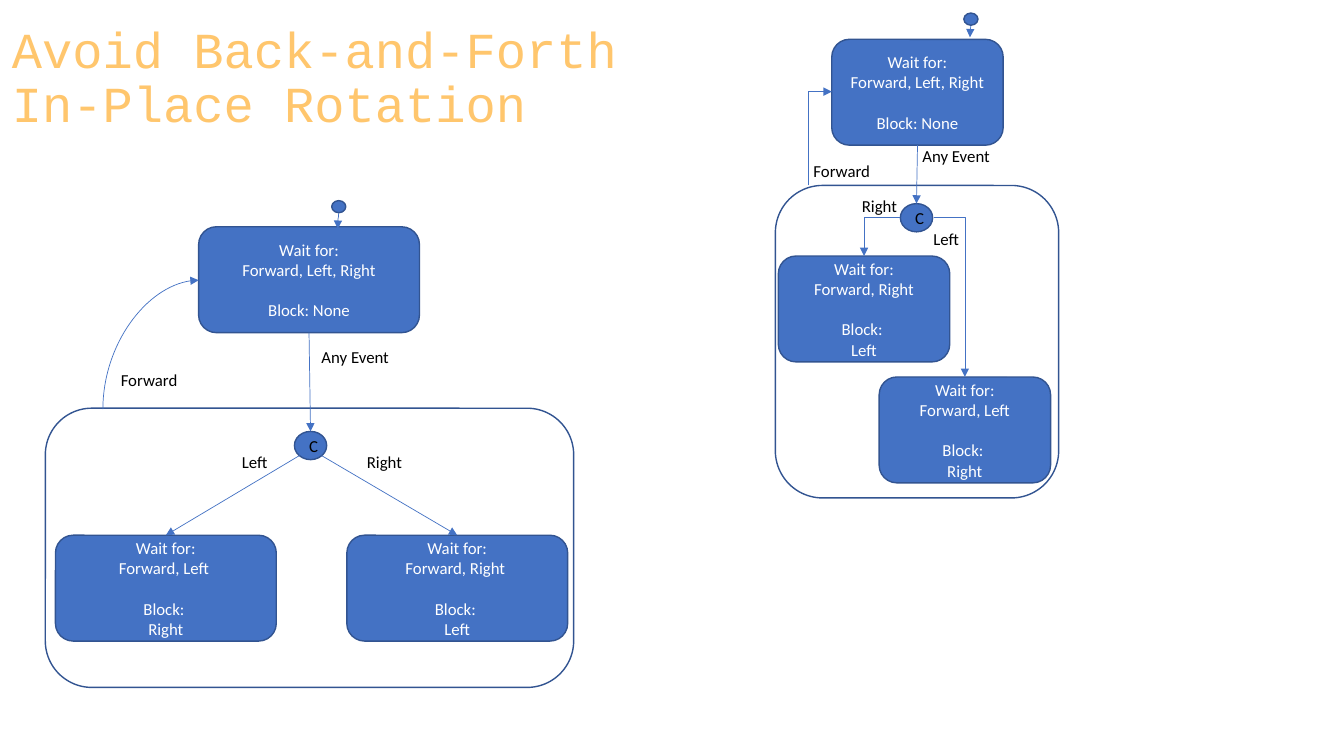
from lxml.etree import SubElement
from pptx import Presentation
from pptx.dml.color import RGBColor
from pptx.enum.shapes import MSO_CONNECTOR as Link, MSO_SHAPE as Shape
from pptx.enum.text import MSO_ANCHOR as Anchor, PP_ALIGN as Align
from pptx.oxml.ns import qn
from pptx.util import Inches, Pt


def colour(hex_code):
    return RGBColor.from_string(hex_code)


def write(shape, *lines, size=12, font="Calibri", fill="000000", align=Align.LEFT,
          anchor=Anchor.TOP, spacing=None, gap_before=None):
    """Fill a shape with one paragraph per line; gap_before is the line set apart."""
    frame = shape.text_frame
    frame.word_wrap = True
    frame.vertical_anchor = anchor
    for index, line in enumerate(lines):
        paragraph = frame.add_paragraph() if index else frame.paragraphs[0]
        paragraph.alignment = align
        if spacing:
            paragraph.line_spacing = spacing
        if index == gap_before:
            paragraph.space_before = Pt(14.6)
        run = paragraph.add_run()
        run.text = line
        run.font.size = Pt(size)
        run.font.name = font
        run.font.color.rgb = colour(fill)


class StateChart:
    """Draws on a grid whose columns and rows are a tenth of an inch."""
    CELL = Inches(0.1)
    BLUE, EDGE, AMBER, WHITE = "4472C4", "325491", "FFC66D", "FFFFFF"
    STATE_ROWS = 10.5
    CHOICE = (3.2, 2.8)
    DOT = (1.4, 1.2)

    def __init__(self, slide):
        self.shapes = slide.shapes

    def grid(self, *cells):
        return [round(cell * self.CELL) for cell in cells]

    def block(self, preset, col, row, cols, rows, fill=None):
        shape = self.shapes.add_shape(preset, *self.grid(col, row, cols, rows))
        shape.shadow.inherit = False
        if fill:
            shape.fill.solid()
            shape.fill.fore_color.rgb = colour(fill)
        else:
            shape.fill.background()
        shape.line.color.rgb = colour(self.EDGE)
        shape.line.width = Pt(1)
        return shape

    def region(self, col, row, cols, rows):
        return self.block(Shape.ROUNDED_RECTANGLE, col, row, cols, rows)

    def state(self, col, row, cols, events, *blocked):
        state = self.block(Shape.ROUNDED_RECTANGLE, col, row, cols, self.STATE_ROWS, self.BLUE)
        write(state, "Wait for:", events, *blocked, fill=self.WHITE,
              align=Align.CENTER, anchor=Anchor.MIDDLE, gap_before=2)
        return state

    def choice(self, col, row):
        choice = self.block(Shape.OVAL, col, row, *self.CHOICE, self.BLUE)
        write(choice, "C", align=Align.CENTER, anchor=Anchor.MIDDLE)
        return choice

    def start(self, col, row, drop):
        centre = col + self.DOT[0] / 2
        self.arrow((centre, row + self.DOT[1] / 2), (centre - 0.1, row + drop),
                   "curvedConnector3", upright=True)
        self.block(Shape.OVAL, col, row, *self.DOT, self.BLUE)

    def text(self, col, row, cols, rows, words, **style):
        write(self.shapes.add_textbox(*self.grid(col, row, cols, rows)), words, **style)

    def label(self, col, row, words, cols=7.7):
        self.text(col, row, cols, 3, words)

    def arrow(self, begin, end, preset="line", upright=False, source=None, target=None):
        """An upright arrow leaves vertically: its frame is turned by 90 degrees."""
        (x1, y1), (x2, y2) = begin, end
        if upright:
            mid_x, mid_y = (x1 + x2) / 2, (y1 + y2) / 2
            half_x, half_y = (x2 - x1) / 2, (y2 - y1) / 2
            x1, y1 = mid_x - half_y, mid_y + half_x
            x2, y2 = mid_x + half_y, mid_y - half_x
        arrow = self.shapes.add_connector(Link.STRAIGHT, *self.grid(x1, y1, x2, y2))
        if source:
            arrow.begin_connect(source, 2)
        if target:
            arrow.end_connect(target, 0)
        arrow.line.color.rgb = colour(self.BLUE)
        arrow.line.width = Pt(0.5)
        properties = arrow._element.spPr
        properties.find(qn("a:prstGeom")).set("prst", preset)
        if upright:
            properties.find(qn("a:xfrm")).set("rot", str(90 * 60000))
        SubElement(properties.find(qn("a:ln")), qn("a:tailEnd"), type="triangle")
        SubElement(properties, qn("a:effectLst"))


def main():
    deck = Presentation()
    deck.slide_width, deck.slide_height = Inches(13.33), Inches(7.5)
    chart = StateChart(deck.slides.add_slide(deck.slide_layouts[6]))

    # Title
    chart.text(0.2, 0.6, 70.8, 14.5, "Avoid Back-and-Forth In-Place Rotation", size=36,
               font="Courier New", fill=chart.AMBER, anchor=Anchor.MIDDLE, spacing=0.9)

    # Left chart: states side by side
    chart.region(4.5, 40.5, 52.4, 27.7)
    after_left = chart.state(5.5, 53.1, 21.9, "Forward, Left ", "Block: ", "Right")
    after_right = chart.state(34.4, 53.1, 21.9, "Forward, Right ", "Block: ", "Left")
    idle = chart.state(19.7, 22.5, 21.9, "Forward, Left, Right", "Block: None")
    choice = chart.choice(29.2, 42.8)
    chart.arrow((10.2, 40.6), (19.7, 27.8), "curvedConnector2", upright=True)
    chart.arrow((30.7, 33), (30.8, 42.8), source=idle, target=choice)
    chart.arrow((29.7, 45.2), (16.5, 53.1), target=after_left)
    chart.arrow((31.9, 45.2), (45.3, 53.1), target=after_right)
    chart.start(32.9, 19.9, 2.8)
    chart.label(11, 36.2, "Forward")
    chart.label(23, 44.3, "Left")
    chart.label(35.4, 44.3, "Right")
    chart.label(30.9, 33.9, "Any Event", cols=12.3)

    # Right chart: states stepped downwards
    chart.region(76.9, 18.4, 28.1, 31)
    chart.state(77.2, 25.4, 17, "Forward, Right", "Block: ", "Left")
    chart.state(87.2, 37.4, 17, "Forward, Left", "Block: ", "Right")
    idle = chart.state(82.5, 3.9, 17, "Forward, Left, Right", "Block: None")
    choice = chart.choice(89.3, 20.2)
    chart.arrow((80.2, 18.4), (82.5, 9.1), "bentConnector2", upright=True)
    chart.arrow((90.9, 14.4), (90.9, 20.2), source=idle, target=choice)
    chart.arrow((89.3, 21.6), (85.7, 25.4), "bentConnector2")
    chart.arrow((92.6, 21.6), (95.7, 37.4), "bentConnector2")
    chart.start(95.6, 1.3, 2.4)
    chart.label(79.7, 15.5, "Forward")
    chart.label(91.6, 22.2, "Left")
    chart.label(84.5, 18.9, "Right")
    chart.label(90.5, 14, "Any Event", cols=12.3)

    deck.save("out.pptx")


if __name__ == "__main__":
    main()
